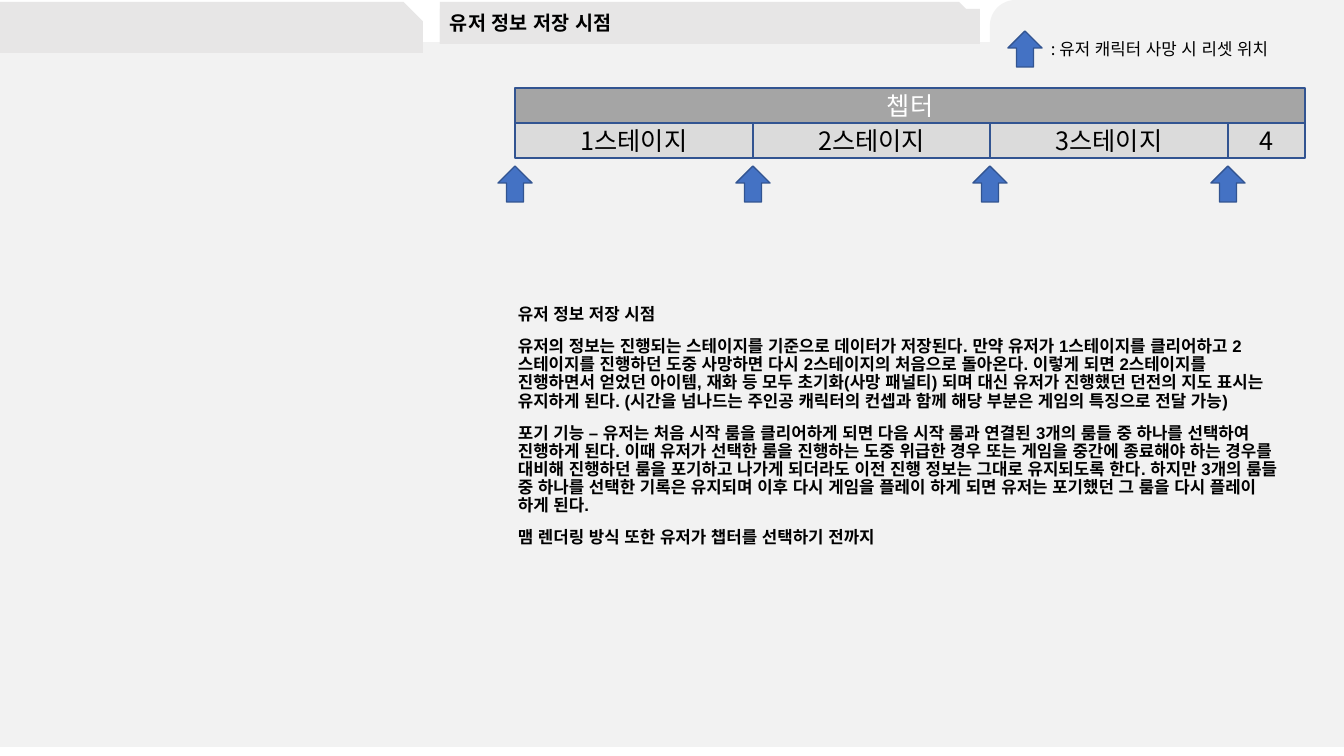
import pptx
import pptx.util
import pptx.dml.color
import pptx.enum.lang
import pptx.enum.shapes
import pptx.enum.text
import pptx.oxml.ns
import lxml.etree

SHAPE = pptx.enum.shapes.MSO_SHAPE
ALIGN = pptx.enum.text.PP_ALIGN
ANCHOR = pptx.enum.text.MSO_ANCHOR

THEME = {
    "panel": "F2F2F2", "tab": "E7E6E6", "chapter": "A5A5A5", "stage": "DBDBDB",
    "arrow": "4472C4", "line": "325491", "dark": "000000", "light": "FFFFFF",
    "latin": "Arial", "korean": "Noto Sans CJK KR",
    "title": 14, "body": 12, "label": 18,
}


def add_block(kind, box, fill, line=None):
    s = shapes.add_shape(kind, *[round(v * PX) for v in box])
    s.shadow.inherit = False
    s.fill.solid()
    s.fill.fore_color.rgb = pptx.dml.color.RGBColor.from_string(THEME[fill])
    if line:
        s.line.color.rgb = pptx.dml.color.RGBColor.from_string(THEME[line])
        s.line.width = pptx.util.Pt(1)
    else:
        s.line.fill.background()
    return s


def write(s, text, size, font, color="dark", bold=False, align=ALIGN.LEFT,
          anchor=ANCHOR.TOP, spacing=None, gap=0, wrap=True):
    tf = s.text_frame
    tf.word_wrap = wrap
    tf.vertical_anchor = anchor
    tf.text = text
    for i, p in enumerate(tf.paragraphs):
        p.alignment = align
        p.line_spacing = spacing
        p.space_before = pptx.util.Pt(gap if i else 0)
        for r in p.runs:
            r.font.name = THEME[font]
            r.font.size = pptx.util.Pt(THEME[size])
            r.font.bold = bold
            r.font.language_id = pptx.enum.lang.MSO_LANGUAGE_ID.KOREAN
            r.font.color.rgb = pptx.dml.color.RGBColor.from_string(THEME[color])
            ea = lxml.etree.SubElement(r.font._element, pptx.oxml.ns.qn("a:ea"))
            ea.set("typeface", THEME[font])


PX = 914400 / 100.8
prs = pptx.Presentation()
prs.slide_width = round(1344 * PX)
prs.slide_height = round(756 * PX)
shapes = prs.slides.add_slide(prs.slide_layouts[6]).shapes

add_block(SHAPE.FLOWCHART_PROCESS, (0, 42, 1344, 705), "panel")
left_tab = add_block(SHAPE.SNIP_1_RECTANGLE, (0, 2, 423, 51), "tab")
left_tab.adjustments[0] = 0.38
right_tab = add_block(SHAPE.ROUND_1_RECTANGLE, (990, 0, 354, 51), "panel")
right_tab.adjustments[0] = 0.5
right_tab._element.spPr.xfrm.set("flipH", "1")
title_tab = add_block(SHAPE.SNIP_1_RECTANGLE, (440, 2, 540, 42), "tab")
title_tab.adjustments[0] = 0.5

title = add_block(SHAPE.RECTANGLE, (440, 9, 540, 35), "tab")
write(title, "유저 정보 저장 시점", "title", "latin", bold=True, spacing=0.9)

paragraphs = [
    "유저 정보 저장 시점",
    "유저의 정보는 진행되는 스테이지를 기준으로 데이터가 저장된다. 만약 유저가 1스테이지를 "
    "클리어하고 2스테이지를 진행하던 도중 사망하면 다시 2스테이지의 처음으로 돌아온다. "
    "이렇게 되면 2스테이지를 진행하면서 얻었던 아이템, 재화 등 모두 초기화(사망 패널티) 되며 "
    "대신 유저가 진행했던 던전의 지도 표시는 유지하게 된다. (시간을 넘나드는 주인공 캐릭터의 "
    "컨셉과 함께 해당 부분은 게임의 특징으로 전달 가능)",
    "포기 기능 – 유저는 처음 시작 룸을 클리어하게 되면 다음 시작 룸과 연결된 3개의 룸들 중 "
    "하나를 선택하여 진행하게 된다. 이때 유저가 선택한 룸을 진행하는 도중 위급한 경우 또는 "
    "게임을 중간에 종료해야 하는 경우를 대비해 진행하던 룸을 포기하고 나가게 되더라도 이전 진행 "
    "정보는 그대로 유지되도록 한다. 하지만 3개의 룸들 중 하나를 선택한 기록은 유지되며 이후 "
    "다시 게임을 플레이 하게 되면 유저는 포기했던 그 룸을 다시 플레이 하게 된다.",
    "맴 렌더링 방식 또한 유저가 챕터를 선택하기 전까지",
]
body = shapes.add_textbox(*[round(v * PX) for v in (508, 301, 789, 288)])
write(body, "\n".join(paragraphs), "body", "latin", bold=True, spacing=0.9, gap=10)

chapter = add_block(SHAPE.RECTANGLE, (515, 88, 790, 35), "chapter", "line")
write(chapter, "쳅터", "label", "korean", "light", align=ALIGN.CENTER, anchor=ANCHOR.MIDDLE)

edges = [515, 753, 990, 1228, 1305]
stages = ["1스테이지", "2스테이지", "3스테이지", "4"]
for name, left, right in zip(stages, edges, edges[1:]):
    stage = add_block(SHAPE.RECTANGLE, (left, 123, right - left, 35), "stage", "line")
    write(stage, name, "label", "korean", align=ALIGN.CENTER, anchor=ANCHOR.MIDDLE)

reset_points = [(edge, 166) for edge in edges[:-1]]
legend_point = (1025, 31)
for center, top in reset_points + [legend_point]:
    add_block(SHAPE.UP_ARROW, (center - 17, top, 34, 36), "arrow", "line")

legend = shapes.add_textbox(*[round(v * PX) for v in (1041, 34, 264, 30)])
write(legend, ": 유저 캐릭터 사망 시 리셋 위치", "body", "korean", wrap=False)

prs.save("out.pptx")
